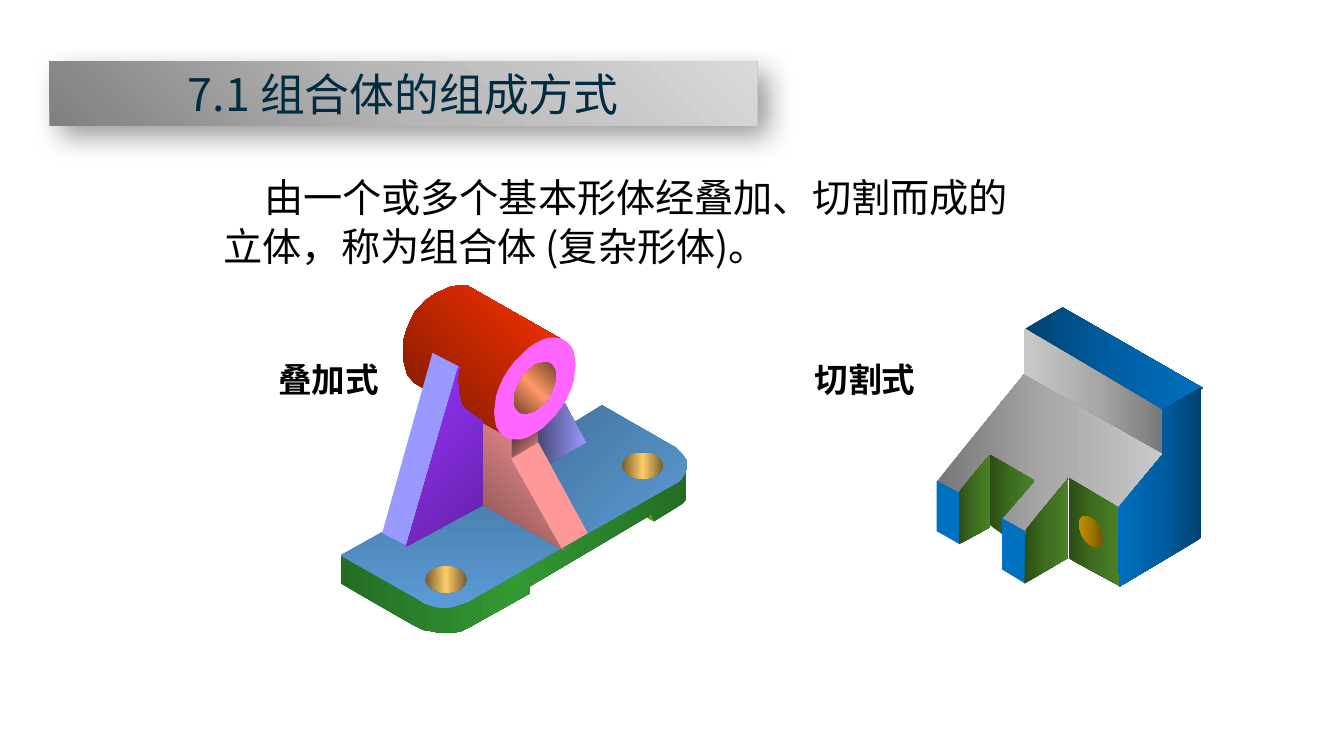
from copy import deepcopy
from math import cos, radians, sin

from lxml import etree
from pptx import Presentation
from pptx import util as u
from pptx.dml.color import RGBColor
from pptx.enum import shapes, text
from pptx.oxml.ns import qn

FONT = "Noto Sans CJK SC"
UNIT = u.Inches(0.01)  # the drawing grid: 1333 columns by 750 rows
BRASS = "765E2F FFCC66 765E2F"
GREY = "777777 A9A9A9 C9C9C9"
GREEN = "2C4D16 3E6E1F 4A8225"
BLUE = "004272 005EA2 0070C0"


def paint(shape, colours, angle=0):
    """Fill without outline: one hex colour, or evenly spaced stops at a clockwise angle."""
    colours = colours.split()
    shape.shadow.inherit = False
    shape.line.fill.background()
    if len(colours) == 1:
        shape.fill.solid()
        shape.fill.fore_color.rgb = RGBColor.from_string(colours[0])
        return
    shape.fill.gradient()
    shape.fill.gradient_angle = (360 - angle) % 360
    stop_list = shape._element.spPr.find(qn("a:gradFill")).find(qn("a:gsLst"))
    while len(stop_list) < len(colours):
        stop_list.append(deepcopy(stop_list[-1]))
    for i, (stop, colour) in enumerate(zip(shape.fill.gradient_stops, colours)):
        stop.position = i / (len(colours) - 1)
        stop.color.rgb = RGBColor.from_string(colour)


def ellipse(x, y, half_width, half_height, tilt=0):
    """Points of a circle seen in isometric view; tilt is the phase shift in degrees."""
    return [(round(x + half_width * cos(radians(t))),
             round(y + half_height * sin(radians(t - tilt))))
            for t in range(0, 360, 10)]


presentation = Presentation()
presentation.slide_width = u.Inches(13.33)
presentation.slide_height = u.Inches(7.5)
slide = presentation.slides.add_slide(presentation.slide_layouts[6])

# Each face: outline in grid units, colours, gradient angle
bracket = [
    # base plate
    ([(647, 517), (641, 513), (649, 510)], "669900", 0),
    ([(338, 550), (338, 579), (408, 619), (414, 622), (420, 625), (427, 626),
      (437, 628), (449, 628), (458, 626), (466, 622), (525, 589), (525, 582),
      (647, 510), (648, 517), (649, 517), (677, 500), (680, 497), (681, 491),
      (681, 464), (456, 596), (418, 592)], "246C24 339933 246C24", 0),
    ([(583, 529), (544, 459), (577, 440), (568, 420), (597, 402), (670, 444),
      (677, 451), (681, 457), (681, 465), (679, 470), (676, 475), (673, 478)],
     "44749F 5B9BD5", 45),
    ([(379, 528), (403, 539), (478, 498), (560, 542), (471, 593), (464, 597),
      (458, 599), (449, 602), (441, 603), (432, 602), (420, 598), (414, 594),
      (338, 551)], "4B80B0 5B9BD5", 90),
    # rear ribs
    ([(507, 433), (504, 459), (535, 440), (534, 429)], "412727 FF9999", 45),
    ([(476, 417), (507, 434), (507, 453), (560, 546), (476, 499)],
     "824E4E FF9999", 315),
    ([(560, 400), (581, 439), (545, 460), (534, 439), (533, 424)],
     "474776 9999FF", 0),
    # cylinder
    ([(556, 336), (463, 283), (448, 284), (432, 291), (422, 298), (411, 310),
      (404, 325), (400, 338), (400, 357), (404, 372), (411, 380), (505, 434)],
     "761800 FF3300", 315),
    (ellipse(530.5, 385.5, 40.5, 50.5, 28), "FF66FF", 0),
    (ellipse(530.5, 385, 20.5, 25.5, 28), "76472F FF9966 76472F", 315),
    # bolt holes
    (ellipse(442.5, 575, 20.5, 13), BRASS, 0),
    (ellipse(637.5, 462, 20.5, 13), BRASS, 0),
    # front ribs
    ([(429, 350), (379, 529), (405, 542), (456, 364)], "9999FF", 0),
    ([(403, 542), (479, 501), (479, 418), (468, 411), (458, 402), (455, 390),
      (454, 377), (455, 363)], "9933FF 6321A5", 45),
    ([(507, 455), (557, 544), (583, 529), (534, 439)], "FF9999", 0),
]
cut_block = [
    # slope and slots
    ([(1016, 371), (929, 478), (952, 489), (982, 455), (1025, 477), (991, 514),
      (1017, 527), (1060, 475), (1109, 504), (1154, 450)], GREY, 0),
    ([(1060, 474), (1110, 504), (1110, 581), (1060, 554)], GREEN, 0),
    ([(982, 451), (1026, 477), (994, 514), (995, 530), (982, 521)], GREEN, 0),
    # top, back wall and right side
    ([(1017, 326), (1054, 305), (1193, 385), (1154, 408)], BLUE, 0),
    ([(1016, 326), (1016, 371), (1155, 451), (1155, 408)], GREY, 180),
    ([(1191, 384), (1191, 534), (1110, 582), (1109, 504), (1153, 451),
      (1153, 407)], BLUE, 180),
    # front ends and inner walls
    ([(929, 477), (952, 489), (952, 540), (929, 527)], "0070C0", 0),
    ([(994, 514), (1017, 527), (1017, 579), (994, 565)], "0070C0", 0),
    ([(951, 488), (982, 451), (982, 523), (951, 540)], GREEN, 0),
    (ellipse(1082, 527.5, 12, 15.5, -28), "715500 A17900 BF9000", 180),
    ([(1017, 526), (1016, 579), (1060, 553), (1060, 474)], GREEN, 0),
]
for solid in (bracket, cut_block):
    faces = []
    for outline, colours, angle in solid:
        builder = slide.shapes.build_freeform(*outline[0], scale=UNIT)
        builder.add_line_segments(outline[1:], close=True)
        face = builder.convert_to_shape()
        paint(face, colours, angle)
        faces.append(face)
    slide.shapes.add_group_shape(shapes=faces)

banner = slide.shapes.add_shape(
    shapes.MSO_SHAPE.RECTANGLE, *(n * UNIT for n in (49, 61, 702, 64)))
paint(banner, "808080 B7B7B7 D9D9D9", 315)
effects = banner._element.spPr.find(qn("a:effectLst"))
shadow = etree.SubElement(effects, qn("a:outerShdw"), blurRad=str(u.Pt(20)),
                          dist=str(u.Pt(10)), dir=str(45 * 60000),
                          algn="tl", rotWithShape="0")
shadow_colour = etree.SubElement(shadow, qn("a:srgbClr"), val="000000")
etree.SubElement(shadow_colour, qn("a:alpha"), val="40000")

label_left, label_right, definition = (
    slide.shapes.add_textbox(*(n * UNIT for n in box))
    for box in ((266, 351, 122, 51), (798, 351, 122, 51), (212, 156, 938, 125)))

texts = [
    (banner, ["7.1 组合体的组成方式"], 32, "002B41", False),
    (label_left, ["叠加式"], 24, "000000", True),
    (label_right, ["切割式"], 24, "000000", True),
    (definition, ["由一个或多个基本形体经叠加、切割而成的",
                  "立体，称为组合体 (复杂形体)。"], 28, "000000", False),
]
for shape, lines, size, colour, bold in texts:
    frame = shape.text_frame
    frame.word_wrap = not bold
    frame.vertical_anchor = text.MSO_ANCHOR.TOP if bold else text.MSO_ANCHOR.MIDDLE
    for i, line in enumerate(lines):
        paragraph = frame.add_paragraph() if i else frame.paragraphs[0]
        paragraph.alignment = (text.PP_ALIGN.CENTER if shape is banner
                               else text.PP_ALIGN.LEFT)
        run = paragraph.add_run()
        run.text = line
        run.font.name = FONT
        run.font.size = u.Pt(size)
        run.font.bold = bold
        run.font.color.rgb = RGBColor.from_string(colour)
        etree.SubElement(run.font._element, qn("a:ea"), typeface=FONT)

for paragraph in definition.text_frame.paragraphs:
    paragraph.line_spacing = u.Pt(35)
first_line = definition.text_frame.paragraphs[0]._p.get_or_add_pPr()
first_line.set("indent", str(u.Inches(0.4)))

presentation.save("out.pptx")
